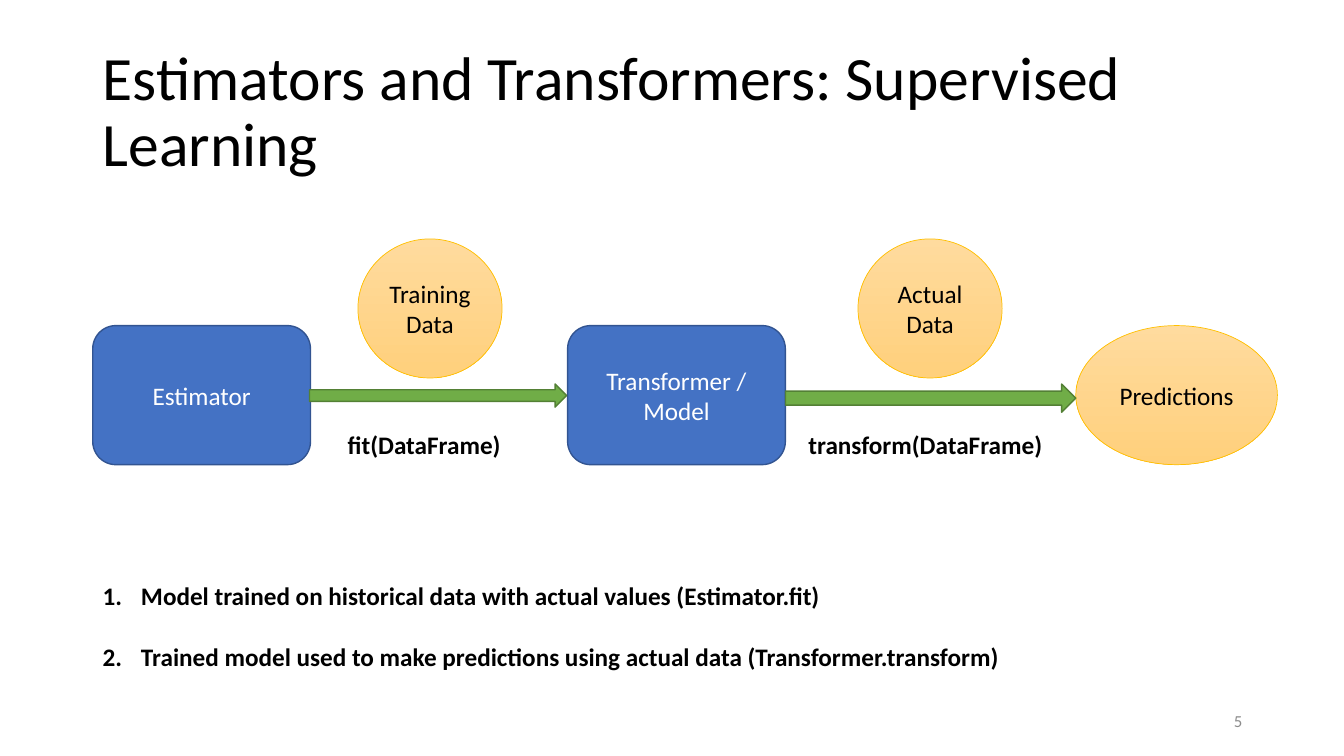
from lxml.etree import SubElement as Sub
from pptx import Presentation
from pptx.dml.color import RGBColor as Rgb
from pptx.enum.shapes import MSO_SHAPE as Kind
from pptx.enum.text import MSO_ANCHOR as Anchor, PP_ALIGN as Align
from pptx.oxml.ns import qn
from pptx.util import Inches, Pt

COLORS = {
    "black": "000000", "white": "FFFFFF", "gray": "8C8C8C",
    "blue": "4472C4", "navy": "325491",
    "green": "70AD47", "moss": "538035",
    "cream": "FFDB9E", "peach": "FFD07C", "gold": "FFC000",
}


def tint(name):
    return Rgb.from_string(COLORS[name])


def write(frame, *lines, size=18, color="black", bold=False, align=Align.LEFT,
          anchor=Anchor.TOP, font="Calibri", lead=None, gap=0, number=False):
    frame.word_wrap = True
    frame.vertical_anchor = anchor
    for i, line in enumerate(lines):
        para = frame.add_paragraph() if i else frame.paragraphs[0]
        para.text = line
        para.alignment = align
        if lead:
            para.line_spacing = lead
        if i and gap:
            para.space_before = Pt(gap)
        if number:
            props = para._p.get_or_add_pPr()
            props.set("marL", str(Inches(0.38)))
            props.set("indent", str(Inches(-0.38)))
            Sub(props, qn("a:buFont"), typeface="+mj-lt")
            Sub(props, qn("a:buAutoNum"), type="arabicPeriod")
        for run in para.runs:
            run.font.name = font
            run.font.size = Pt(size)
            run.font.bold = bold
            run.font.color.rgb = tint(color)


class Deck:
    def __init__(self):
        self.show = Presentation()
        self.show.slide_width = Inches(13.33)
        self.show.slide_height = Inches(7.5)
        self.slide = self.show.slides.add_slide(self.show.slide_layouts[6])

    def text(self, box, *lines, **style):
        area = self.slide.shapes.add_textbox(*map(Inches, box))
        write(area.text_frame, *lines, **style)

    def shape(self, kind, box, fill, edge, width=1):
        form = self.slide.shapes.add_shape(kind, *map(Inches, box))
        form.shadow.inherit = False
        if isinstance(fill, tuple):
            form.fill.gradient()
            form.fill.gradient_angle = 270
            for stop, name in zip(form.fill.gradient_stops, fill):
                stop.color.rgb = tint(name)
        else:
            form.fill.solid()
            form.fill.fore_color.rgb = tint(fill)
        form.line.color.rgb = tint(edge)
        form.line.width = Pt(width)
        return form

    def stage(self, left, label):
        form = self.shape(Kind.ROUNDED_RECTANGLE, (left, 3.23, 2.16, 1.38),
                          "blue", "navy")
        write(form.text_frame, label, color="white", align=Align.CENTER,
              anchor=Anchor.MIDDLE)

    def data(self, left, top, width, label):
        form = self.shape(Kind.OVAL, (left, top, width, 1.38),
                          ("cream", "peach"), "gold", 0.5)
        write(form.text_frame, label, align=Align.CENTER, anchor=Anchor.MIDDLE)

    def arrow(self, left, width, height):
        self.shape(Kind.RIGHT_ARROW, (left, 3.81, width, height),
                   "green", "moss")

    def save(self):
        self.show.save("out.pptx")


def main():
    deck = Deck()
    deck.text((0.92, 0.4, 11.5, 1.45),
              "Estimators and Transformers: Supervised Learning",
              size=44, lead=0.9, anchor=Anchor.MIDDLE)
    deck.stage(0.92, "Estimator")
    deck.stage(5.63, "Transformer / Model")
    deck.data(3.55, 2.37, 1.43, "Training\nData")
    deck.data(8.51, 2.37, 1.43, "Actual Data")
    deck.arrow(3.07, 2.55, 0.23)
    deck.data(10.67, 3.23, 2, "Predictions")
    deck.arrow(7.79, 2.88, 0.28)
    deck.text((3.35, 4.21, 1.83, 0.4), "fit(DataFrame)", bold=True)
    deck.text((7.92, 4.21, 2.75, 0.4), "transform(DataFrame)", bold=True)
    deck.text((0.92, 5.71, 11.75, 1.01),
              "Model trained on historical data with actual values (Estimator.fit)",
              "Trained model used to make predictions using actual data (Transformer.transform)",
              bold=True, gap=22, number=True)
    deck.text((9.42, 6.95, 3, 0.4), "5", size=12, color="gray",
              align=Align.RIGHT, anchor=Anchor.MIDDLE)
    deck.save()


if __name__ == "__main__":
    main()
